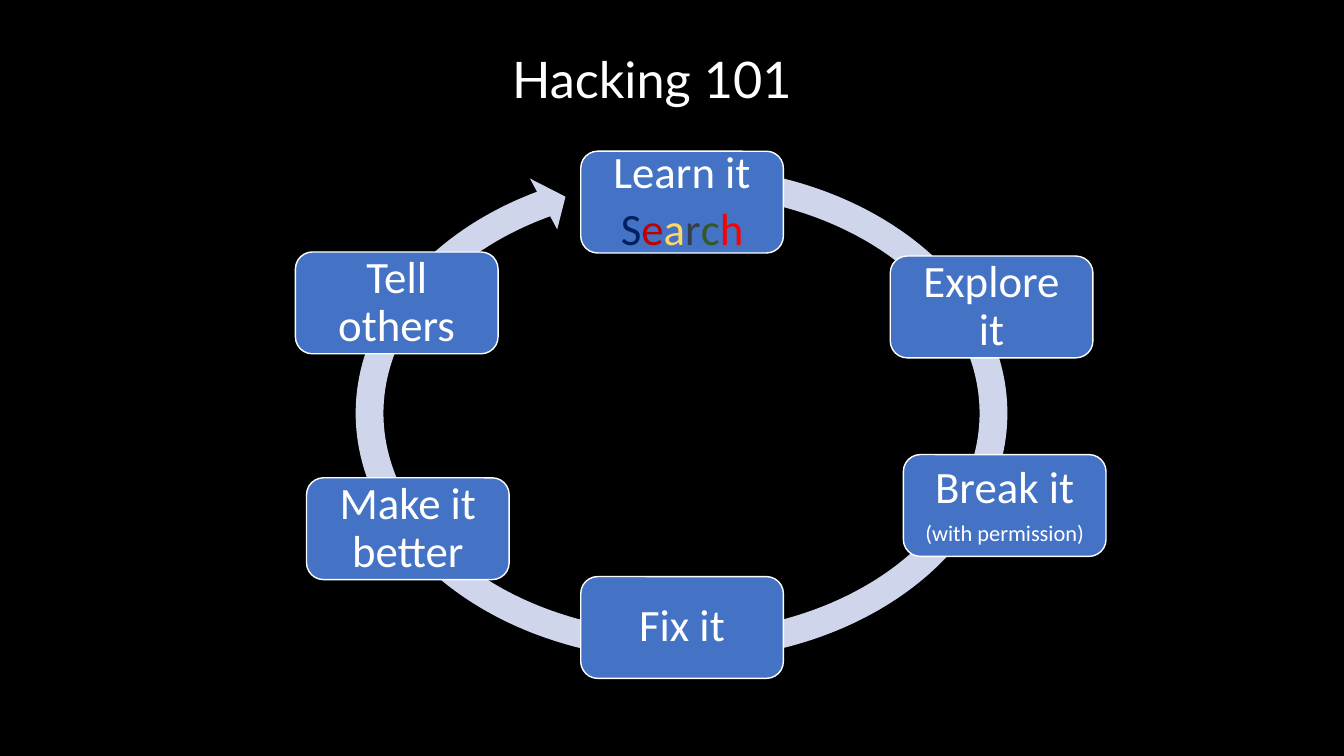
import pptx
import pptx.util
import pptx.dml.color
import pptx.enum.shapes
import pptx.enum.text

Inches = pptx.util.Inches
Pt = pptx.util.Pt
KIND = pptx.enum.shapes.MSO_SHAPE
CENTER = pptx.enum.text.PP_ALIGN.CENTER
MIDDLE = pptx.enum.text.MSO_ANCHOR.MIDDLE

WHITE, BLUE, PALE, BLACK = "FFFFFF", "4472C4", "CFD5EA", "000000"
TITLE = "Hacking 101"
HUES = ["002060", "C00000", "FFD966", "333F50", "385723", "FF0000"]
STEPS = [
    (5.76, 1.5, [("Learn it", 32), (list(zip("Search", HUES)), 32)]),
    (8.83, 2.54, [("Explore it", 32)]),
    (8.96, 4.51, [("Break it", 32), ("(with permission)", 16)]),
    (5.76, 5.72, [("Fix it", 32)]),
    (3.04, 4.74, [("Make it better", 32)]),
    (2.93, 2.5, [("Tell others", 32)]),
]
BOX = (2.01, 1.01)
RING = (3.38, 1.5, 6.76, 5.2)
BENDS = [0.053, 3.126, 141.969, 171.453, 0.055]


def color(code):
    return pptx.dml.color.RGBColor.from_string(code)


def paint(fill, code):
    fill.solid()
    fill.fore_color.rgb = color(code)


def style(run, size, face, code):
    run.font.size = Pt(size)
    run.font.name = face
    run.font.color.rgb = color(code)


def frame(item, side, top):
    text = item.text_frame
    text.word_wrap = True
    text.auto_size = pptx.enum.text.MSO_AUTO_SIZE.NONE
    text.vertical_anchor = MIDDLE
    text.margin_left = text.margin_right = Inches(side)
    text.margin_top = text.margin_bottom = Inches(top)
    return text


def shape(slide, kind, spot, code):
    item = slide.shapes.add_shape(kind, *map(Inches, spot))
    item.shadow.inherit = False
    paint(item.fill, code)
    return item


def step(slide, left, top, lines):
    box = shape(slide, KIND.ROUNDED_RECTANGLE, (left, top, *BOX), BLUE)
    box.line.color.rgb = color(WHITE)
    box.line.width = Pt(1)
    text = frame(box, 0.13, 0.13)
    for num, (words, size) in enumerate(lines):
        para = text.add_paragraph() if num else text.paragraphs[0]
        para.alignment = CENTER
        para.line_spacing = 0.9
        para.space_after = Pt(6)
        parts = [(words, WHITE)] if isinstance(words, str) else words
        for part, code in parts:
            run = para.add_run()
            run.text = part
            style(run, size, "Calibri", code)


def main():
    deck = pptx.Presentation()
    deck.slide_width, deck.slide_height = Inches(13.33), Inches(7.5)
    slide = deck.slides.add_slide(deck.slide_layouts[5])
    paint(slide.background.fill, BLACK)

    title = slide.shapes.title
    title.left, title.top = Inches(2.87), Inches(0.27)
    title.width, title.height = Inches(7.19), Inches(1.09)
    text = frame(title, 0.07, 0.04)
    text.text = TITLE
    para = text.paragraphs[0]
    para.alignment = CENTER
    para.line_spacing = 0.9
    style(para.runs[0], 36, "Lato", WHITE)

    ring = shape(slide, KIND.CIRCULAR_ARROW, RING, PALE)
    ring.line.fill.background()
    for num, bend in enumerate(BENDS):
        ring.adjustments[num] = bend
    for left, top, lines in STEPS:
        step(slide, left, top, lines)
    deck.save("out.pptx")


if __name__ == "__main__":
    main()
